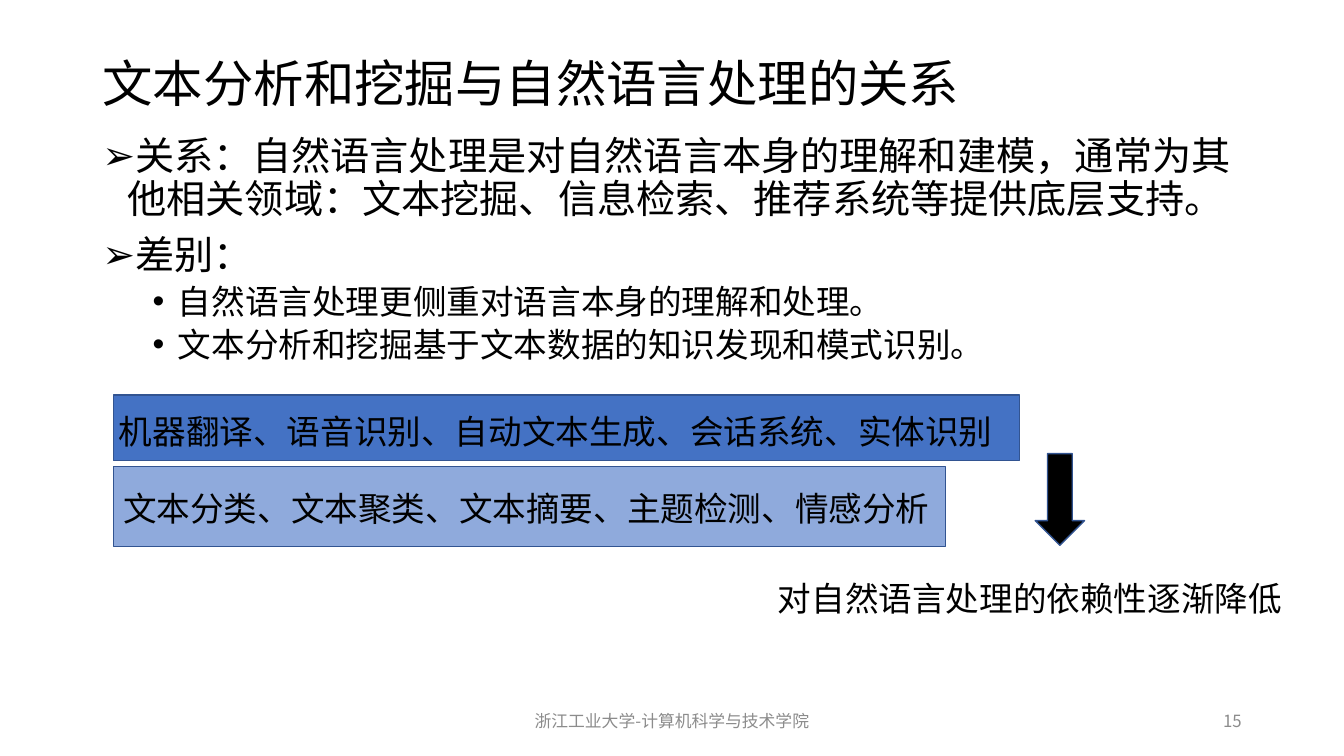
from lxml.etree import SubElement
from pptx import Presentation
from pptx.dml.color import RGBColor
from pptx.enum.shapes import MSO_SHAPE
from pptx.enum.text import MSO_ANCHOR, MSO_AUTO_SIZE, PP_ALIGN
from pptx.oxml.ns import qn
from pptx.util import Pt

FACE = "Noto Sans CJK SC"


def color(code):
    return RGBColor.from_string(code)


def style(para, size, code="000000"):
    font = para.font
    font.size = Pt(size)
    font.color.rgb = color(code)
    font.name = FACE
    props = para._p.pPr.find(qn("a:defRPr"))
    SubElement(props, qn("a:ea")).set("typeface", FACE)


deck = Presentation()
deck.slide_width, deck.slide_height = Pt(960), Pt(540)
slide = deck.slides.add_slide(deck.slide_layouts[5])
shapes = slide.shapes

# Title
title = shapes.title
title.left, title.top, title.width, title.height = Pt(66), Pt(28.8), Pt(828), Pt(65.5)
frame = title.text_frame
frame.text = "文本分析和挖掘与自然语言处理的关系"
frame.auto_size = MSO_AUTO_SIZE.NONE
frame.vertical_anchor = MSO_ANCHOR.MIDDLE
head = frame.paragraphs[0]
head.alignment = PP_ALIGN.LEFT
head.line_spacing = 0.9
style(head, 36)

# Bulleted body
points = [
    (0, "关系：自然语言处理是对自然语言本身的理解和建模，通常为其他相关领域：文本挖掘、信息检索、推荐系统等提供底层支持。"),
    (0, "差别："),
    (1, "自然语言处理更侧重对语言本身的理解和处理。"),
    (1, "文本分析和挖掘基于文本数据的知识发现和模式识别。"),
]
levels = [("➢", 18, 28, 10), ("•", 54, 24, 5)]  # bullet, indent, size, gap
body = shapes.add_textbox(Pt(66), Pt(94.3), Pt(828), Pt(190.8)).text_frame
body.word_wrap = True
for i, (level, text) in enumerate(points):
    mark, indent, size, gap = levels[level]
    para = body.add_paragraph() if i else body.paragraphs[0]
    para.text = text
    para.level = level
    props = para._p.get_or_add_pPr()
    props.set("marL", str(Pt(indent)))
    props.set("indent", str(-Pt(18)))
    SubElement(props, qn("a:buFont")).set("typeface", "Arial")
    SubElement(props, qn("a:buChar")).set("char", mark)
    para.line_spacing = 0.9
    para.space_before = Pt(gap if i else 0)
    style(para, size)

# Task bars and arrow
blocks = [
    (MSO_SHAPE.RIGHT_ARROW, 724.3, 339.1, 65.5, 35.3, 90, "000000"),
    (MSO_SHAPE.RECTANGLE, 80.9, 282.2, 647.3, 46.8, 0, "4472C4"),
    (MSO_SHAPE.RECTANGLE, 80.9, 333.4, 594.7, 56.9, 0, "8FAADC"),
]
for kind, x, y, w, h, turn, fill in blocks:
    block = shapes.add_shape(kind, Pt(x), Pt(y), Pt(w), Pt(h))
    block.rotation = turn
    block.shadow.inherit = False
    block.fill.solid()
    block.fill.fore_color.rgb = color(fill)
    block.line.color.rgb = color("325491")
    block.line.width = Pt(1)

# Labels and footer
top, mid = MSO_ANCHOR.TOP, MSO_ANCHOR.MIDDLE
left, center, right = PP_ALIGN.LEFT, PP_ALIGN.CENTER, PP_ALIGN.RIGHT
labels = [
    ("机器翻译、语音识别、自动文本生成、会话系统、实体识别", 77.8, 290.2, 650.2, 36, 24, "000000", left, top),
    ("文本分类、文本聚类、文本摘要、主题检测、情感分析", 80.9, 344.9, 594.7, 36, 24, "000000", left, top),
    ("对自然语言处理的依赖性逐渐降低", 548.6, 409, 381.6, 36, 24, "000000", left, top),
    ("浙江工业大学-计算机科学与技术学院", 318, 500.4, 324, 28.8, 12, "8C8C8C", center, mid),
    ("15", 678, 500.4, 216, 28.8, 12, "8C8C8C", right, mid),
]
for text, x, y, w, h, size, code, align, anchor in labels:
    frame = shapes.add_textbox(Pt(x), Pt(y), Pt(w), Pt(h)).text_frame
    frame.word_wrap = True
    frame.vertical_anchor = anchor
    para = frame.paragraphs[0]
    para.text = text
    para.alignment = align
    style(para, size, code)

deck.save("out.pptx")
